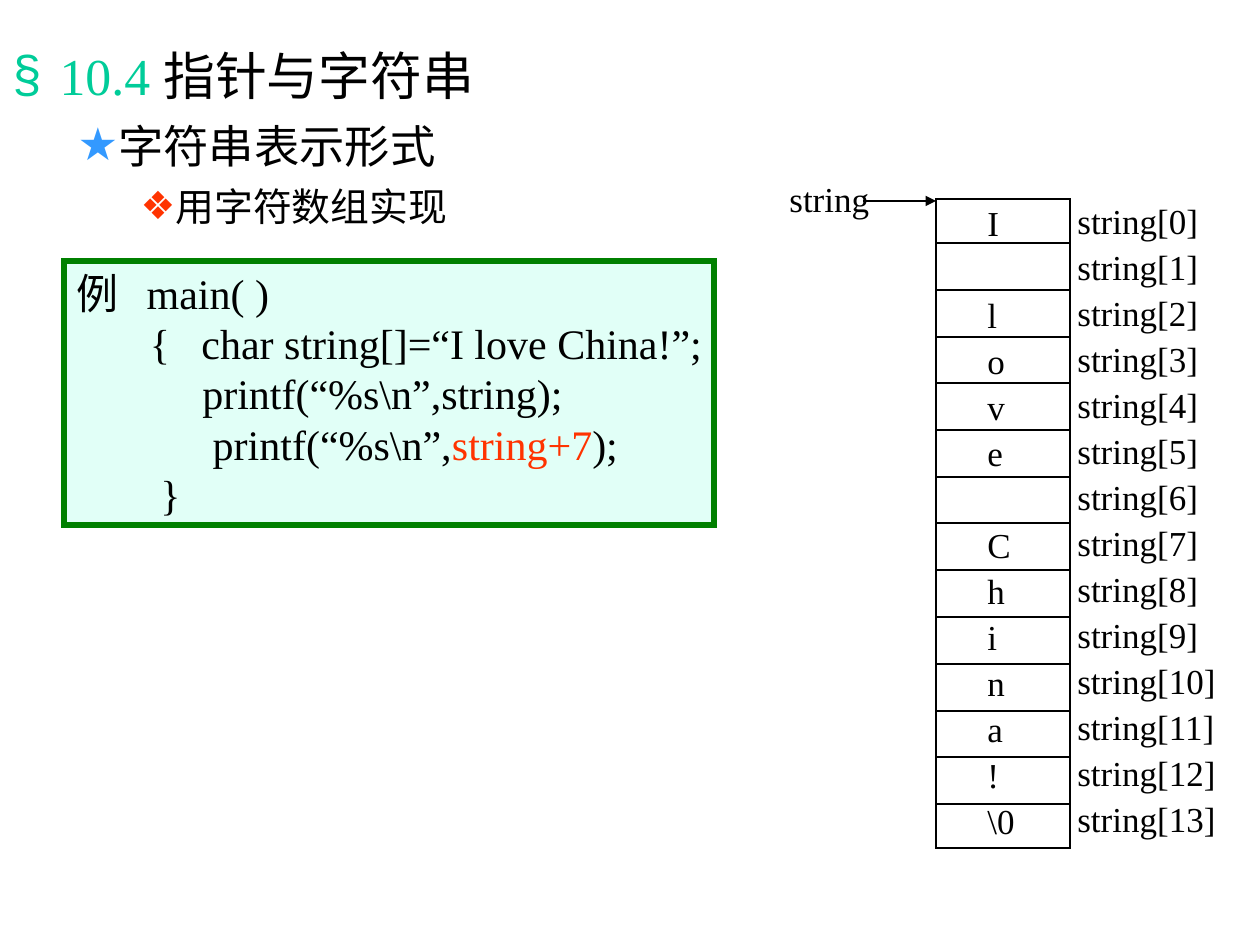
from lxml.etree import SubElement
from pptx import Presentation
from pptx.dml.color import RGBColor
from pptx.enum.shapes import MSO_CONNECTOR, MSO_SHAPE
from pptx.enum.text import MSO_ANCHOR, MSO_AUTO_SIZE, PP_ALIGN
from pptx.oxml.ns import qn
from pptx.util import Pt

PX = 914400 // 126
FONT = "Times New Roman"
BLACK, GREEN, RED = "000000", "00CC99", "FF3300"

# bullet, bullet colour, margin px, hanging px, space before pt, size pt, runs
OUTLINE = [
    ("§", GREEN, 47, 47, 0, 29.6, [("10.4 ", GREEN), ("指针与字符串", BLACK)]),
    ("★", "3399FF", 104, 39, 7, 25.9, [("字符串表示形式", BLACK)]),
    ("❖", RED, 160, 32, 6, 22.2, [("用字符数组实现", BLACK)]),
]
CODE = [
    [("例   main( )", BLACK)],
    [("       {   char string[]=“I love China!”;", BLACK)],
    [("            printf(“%s\\n”,string);", BLACK)],
    [("             printf(“%s\\n”,", BLACK), ("string+7", RED), (");", BLACK)],
    [("        }", BLACK)],
]
# character in each array element and the width of its box in px
ELEMENTS = [("I", 37), ("", 0), ("l", 35), ("o", 43), ("v", 43), ("e", 41), ("", 0),
            ("C", 49), ("h", 43), ("i", 35), ("n", 43), ("a", 41), ("!", 37), ("\\0", 56)]


def px(*lengths):
    return [length * PX for length in lengths]


def color(hex_string):
    return RGBColor.from_string(hex_string)


def add_runs(paragraph, runs, size):
    for text, run_color in runs:
        run = paragraph.add_run()
        run.text = text
        run.font.name = FONT
        run.font.size = Pt(size)
        run.font.color.rgb = color(run_color)


def add_label(shapes, text, left, top, width):
    label = shapes.add_textbox(*px(left, top, width, 55))
    label.text_frame.word_wrap = False
    add_runs(label.text_frame.paragraphs[0], [(text, BLACK)], 20)


def add_line(shapes, x1, y1, x2, y2, arrow=False):
    line = shapes.add_connector(MSO_CONNECTOR.STRAIGHT, *px(x1, y1, x2, y2))
    line.line.color.rgb = color(BLACK)
    line.line.width = Pt(0.75)
    if arrow:
        SubElement(line.line._get_or_add_ln(), qn("a:tailEnd"), type="triangle")
    SubElement(line._element.spPr, qn("a:effectLst"))


def add_rectangle(shapes, box, line_color, line_width, fill=None):
    rectangle = shapes.add_shape(MSO_SHAPE.RECTANGLE, *px(*box))
    rectangle.shadow.inherit = False
    if fill:
        rectangle.fill.solid()
        rectangle.fill.fore_color.rgb = color(fill)
    else:
        rectangle.fill.background()
    rectangle.line.color.rgb = color(line_color)
    rectangle.line.width = Pt(line_width)
    SubElement(rectangle.line._get_or_add_ln(), qn("a:miter"), lim="800000")
    return rectangle


def set_bullet(paragraph, bullet, bullet_color, margin, hanging):
    properties = paragraph._p.get_or_add_pPr()
    properties.set("marL", str(margin * PX))
    properties.set("indent", str(-hanging * PX))
    bullet_fill = SubElement(properties, qn("a:buClr"))
    SubElement(bullet_fill, qn("a:srgbClr"), val=bullet_color)
    SubElement(properties, qn("a:buChar"), char=bullet)


def place_outline(body, box):
    body.left, body.top, body.width, body.height = px(*box)
    frame = body.text_frame
    frame.auto_size = MSO_AUTO_SIZE.NONE
    frame.vertical_anchor = MSO_ANCHOR.TOP
    for level, (bullet, bullet_color, margin, hanging, before, size, runs) in enumerate(OUTLINE):
        paragraph = frame.add_paragraph() if level else frame.paragraphs[0]
        paragraph.level = level
        set_bullet(paragraph, bullet, bullet_color, margin, hanging)
        paragraph.space_before = Pt(before)
        add_runs(paragraph, runs, size)


def place_code(shapes, box):
    frame = add_rectangle(shapes, box, "008000", 3, "E1FFF7").text_frame
    frame.word_wrap = False
    frame.vertical_anchor = MSO_ANCHOR.TOP
    for number, runs in enumerate(CODE):
        paragraph = frame.add_paragraph() if number else frame.paragraphs[0]
        paragraph.alignment = PP_ALIGN.LEFT
        paragraph.line_spacing = Pt(28.8)
        add_runs(paragraph, runs, 24)


def place_array(shapes, box):
    left, top, width, height = box
    right = left + width

    # Pointer to the first element
    add_label(shapes, "string", left - 159, top - 28, 105)
    add_line(shapes, left - 73, top + 2, left, top + 2, arrow=True)

    # Frame and dividers
    add_rectangle(shapes, box, BLACK, 0.75)
    first, last = top + 44, top + height - 44
    gaps = len(ELEMENTS) - 2
    for number in range(gaps + 1):
        y = first + round((last - first) * number / gaps)
        add_line(shapes, left, y, right, y)

    # Characters and index labels
    for index, (character, character_width) in enumerate(ELEMENTS):
        row = top + 46 * index
        if character:
            add_label(shapes, character, left + 39, row - 4, character_width)
        add_label(shapes, f"string[{index}]", right - 5, row - 6, 146 if index < 10 else 164)


def main():
    presentation = Presentation()
    presentation.slide_width, presentation.slide_height = px(1260, 945)
    slide = presentation.slides.add_slide(presentation.slide_layouts[1])
    title, body = slide.placeholders
    title._element.getparent().remove(title._element)

    place_outline(body, (0, 37, 1186, 208))
    place_code(slide.shapes, (64, 261, 650, 264))
    place_array(slide.shapes.add_group_shape().shapes, (936, 199, 134, 649))
    presentation.save("out.pptx")


if __name__ == "__main__":
    main()
